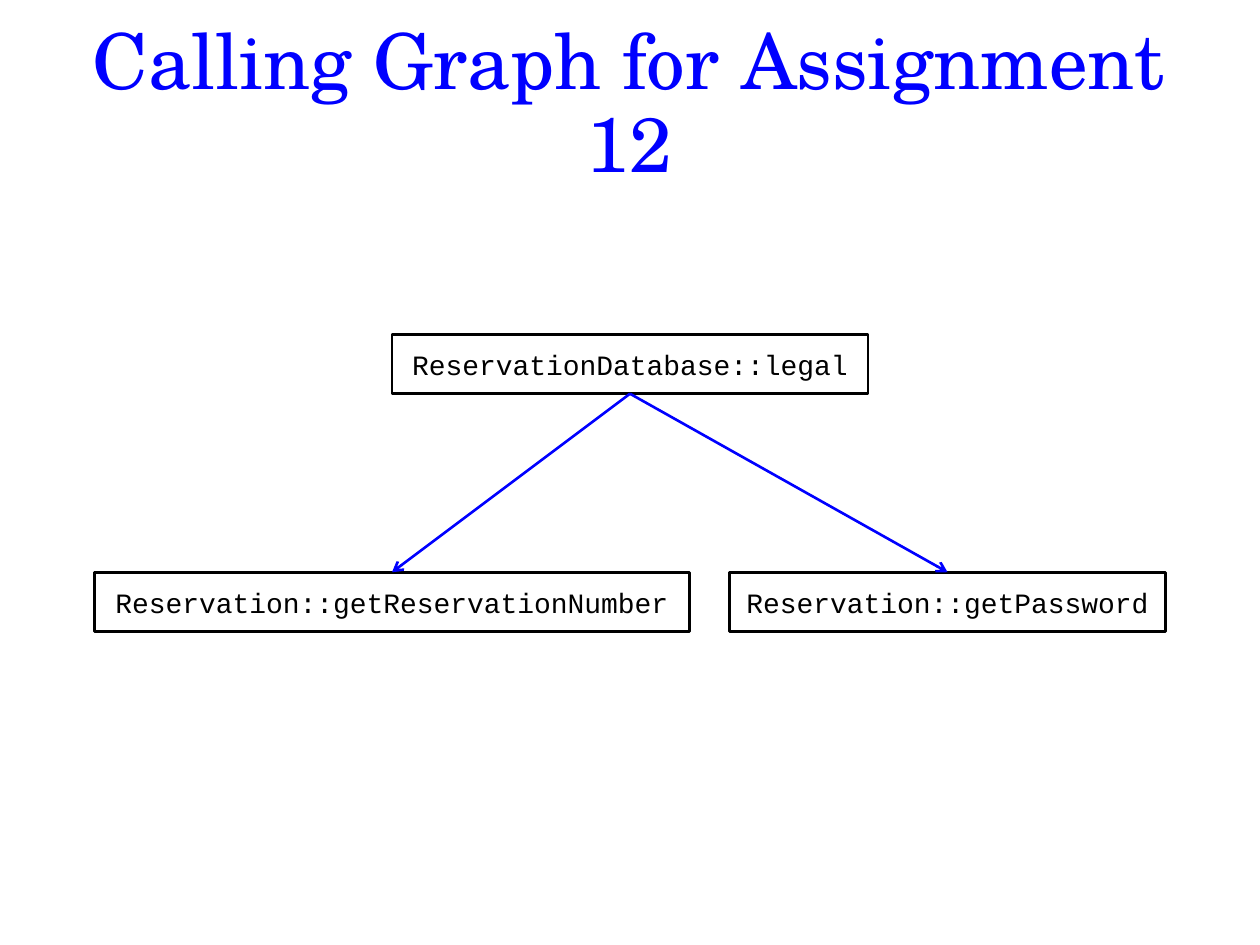
from dataclasses import dataclass

from lxml import etree
from pptx import Presentation
from pptx.dml.color import RGBColor
from pptx.enum.shapes import MSO_CONNECTOR, MSO_SHAPE
from pptx.enum.text import MSO_ANCHOR, PP_ALIGN
from pptx.oxml.ns import qn
from pptx.util import Pt

RECT = MSO_SHAPE.RECTANGLE
STRAIGHT = MSO_CONNECTOR.STRAIGHT
MIDDLE = MSO_ANCHOR.MIDDLE
CENTER = PP_ALIGN.CENTER
TOP, BOTTOM = 0, 2


@dataclass(frozen=True)
class Theme:
    white: RGBColor = RGBColor(255, 255, 255)
    black: RGBColor = RGBColor(0, 0, 0)
    blue: RGBColor = RGBColor(0, 0, 255)
    serif: str = "TeX Gyre Schola"
    mono: str = "Courier New"
    head: float = 44
    code: float = 16
    line: float = 1.5


THEME = Theme()


def write(shape, text, font, size, color, space=1.0):
    frame = shape.text_frame
    frame.word_wrap = True
    frame.vertical_anchor = MIDDLE
    para = frame.paragraphs[0]
    para.alignment = CENTER
    para.line_spacing = space
    run = para.add_run()
    run.text = text
    run.font.name = font
    run.font.size = Pt(size)
    run.font.color.rgb = color


def add_title(slide, box, text):
    shape = slide.shapes.add_textbox(*map(Pt, box))
    write(shape, text, THEME.serif, THEME.head, THEME.blue, 0.9)


def add_node(slide, box, text):
    node = slide.shapes.add_shape(RECT, *map(Pt, box))
    node.shadow.inherit = False
    node.fill.solid()
    node.fill.fore_color.rgb = THEME.white
    node.line.color.rgb = THEME.black
    node.line.width = Pt(THEME.line)
    write(node, text, THEME.mono, THEME.code, THEME.black)
    return node


def add_call(slide, source, target):
    call = slide.shapes.add_connector(STRAIGHT, 0, 0, 0, 0)
    call.begin_connect(source, BOTTOM)
    call.end_connect(target, TOP)
    call.line.color.rgb = THEME.blue
    call.line.width = Pt(THEME.line)
    props = call.line._get_or_add_ln()
    etree.SubElement(props, qn("a:tailEnd"), type="arrow")
    etree.SubElement(call._element.spPr, qn("a:effectLst"))


def add_graph(slide, box, root, leaves):
    left, top, width, height = box
    tall, wide = 34, 272
    leaf_top = top + height - tall
    root_left = left + (width - wide) / 2
    caller = add_node(slide, (root_left, top, wide, tall), root)
    gap = (width - sum(size for _, size in leaves)) / (len(leaves) - 1)
    nodes = []
    for text, size in leaves:
        nodes.append(add_node(slide, (left, leaf_top, size, tall), text))
        left += size + gap
    for node in nodes:
        add_call(slide, caller, node)


def main():
    deck = Presentation()
    deck.slide_width, deck.slide_height = Pt(720), Pt(540)
    slide = deck.slides.add_slide(deck.slide_layouts[6])
    slide.background.fill.solid()
    slide.background.fill.fore_color.rgb = THEME.white
    leaves = [
        ("Reservation::getReservationNumber", 340),
        ("Reservation::getPassword", 249),
    ]
    add_graph(slide, (54, 191, 612, 170), "ReservationDatabase::legal", leaves)
    add_title(slide, (31, 21, 657, 79), "Calling Graph for Assignment 12")
    deck.save("out.pptx")


if __name__ == "__main__":
    main()
